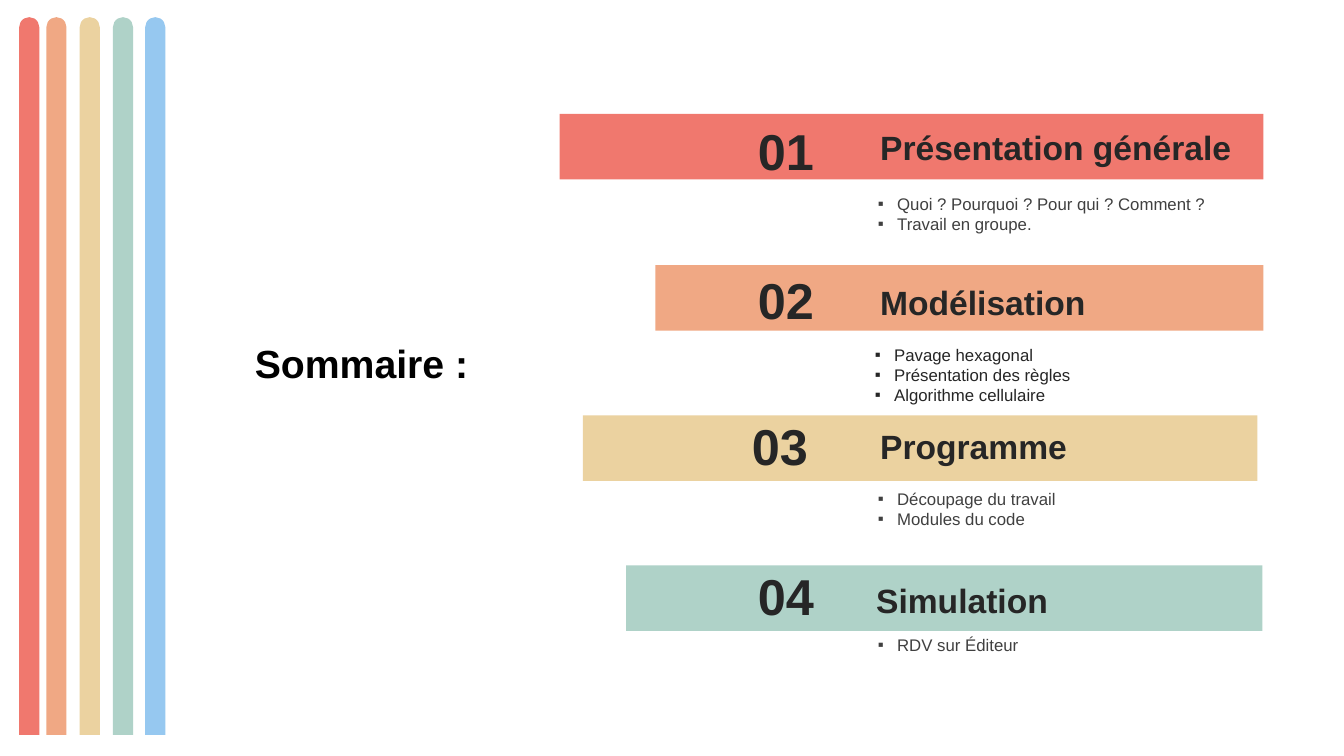
from lxml.etree import SubElement
from pptx import Presentation
from pptx.dml.color import RGBColor
from pptx.enum.shapes import MSO_SHAPE as Shape
from pptx.enum.text import PP_ALIGN as Align
from pptx.oxml.ns import qn
from pptx.util import Pt

PX = 9144
CORAL, ORANGE, SAND, MINT, SKY = "F0786E", "F0A884", "EBD2A0", "AFD2C8", "96C8F0"
DARK, GREY, BLACK = "262626", "404040", "000000"

deck = Presentation()
deck.slide_width, deck.slide_height = 1333 * PX, 750 * PX
page = deck.slides.add_slide(deck.slide_layouts[6])


def add_block(kind, left, top, width, height, color):
    block = page.shapes.add_shape(kind, left * PX, top * PX, width * PX, height * PX)
    block.shadow.inherit = False
    block.fill.solid()
    block.fill.fore_color.rgb = RGBColor.from_string(color)
    block.line.fill.background()
    return block


def add_text(text, left, top, width, height, size, color, bold=True, inset=12):
    box = page.shapes.add_textbox(left * PX, top * PX, width * PX, height * PX)
    frame = box.text_frame
    frame.word_wrap = True
    frame.margin_left = frame.margin_right = inset * PX
    frame.text = text
    for para in frame.paragraphs:
        for span in para.runs:
            span.font.name = "Arial"
            span.font.size = Pt(size)
            span.font.bold = bold
            span.font.color.rgb = RGBColor.from_string(color)
    return frame


sections = [
    ("Présentation générale", CORAL, (555, 113, 698), (726, 114), (861, 121),
     (861, 187, 50), GREY,
     ["Quoi ? Pourquoi ? Pour qui ? Comment ?", "Travail en groupe."]),
    ("Modélisation", ORANGE, (650, 263, 603), (726, 262), (861, 275),
     (858, 337, 91), DARK,
     ["Pavage hexagonal", "Présentation des règles", "Algorithme cellulaire"]),
    ("Programme", SAND, (578, 412, 669), (720, 407), (861, 418),
     (861, 480, 50), GREY,
     ["Découpage du travail", "Modules du code"]),
    ("Simulation", MINT, (621, 561, 631), (726, 556), (857, 570),
     (861, 625, 30), GREY,
     ["RDV sur Éditeur"]),
]

for number, section in enumerate(sections, 1):
    heading, color, band, number_at, heading_at, list_at, list_color, items = section
    add_block(Shape.RECTANGLE, *band, 65, color)
    number_frame = add_text(f"{number:02}", *number_at, 107, 71, 36, DARK)
    number_frame.paragraphs[0].alignment = Align.CENTER
    add_text(heading, *heading_at, 437, 50, 24, DARK)
    left, top, height = list_at
    list_frame = add_text("\n".join(items), left, top, 437, height, 12,
                          list_color, bold=False, inset=10)
    for para in list_frame.paragraphs:
        props = para._p.get_or_add_pPr()
        props.set("marL", str(19 * PX))
        props.set("indent", str(-19 * PX))
        SubElement(props, qn("a:buFont"), typeface="Arial")
        SubElement(props, qn("a:buChar"), char="▪")

stripes = [(19, CORAL), (46, ORANGE), (79, SAND), (112, MINT), (144, SKY)]
for left, color in stripes:
    stripe = add_block(Shape.ROUND_2_SAME_RECTANGLE, left, 17, 20, 712, color)
    stripe.adjustments[0] = 0.5

add_text("Sommaire :", 243, 332, 243, 57, 28, BLACK, inset=10)

deck.save("out.pptx")
